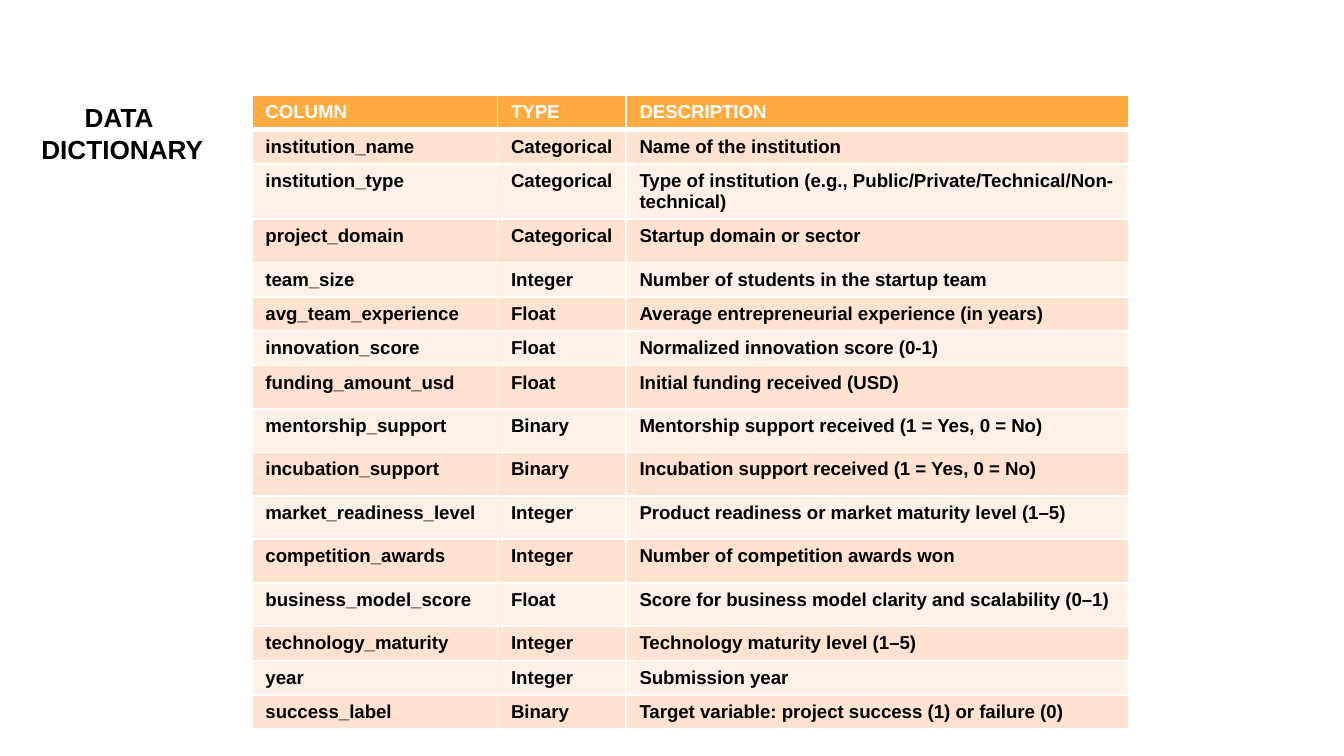
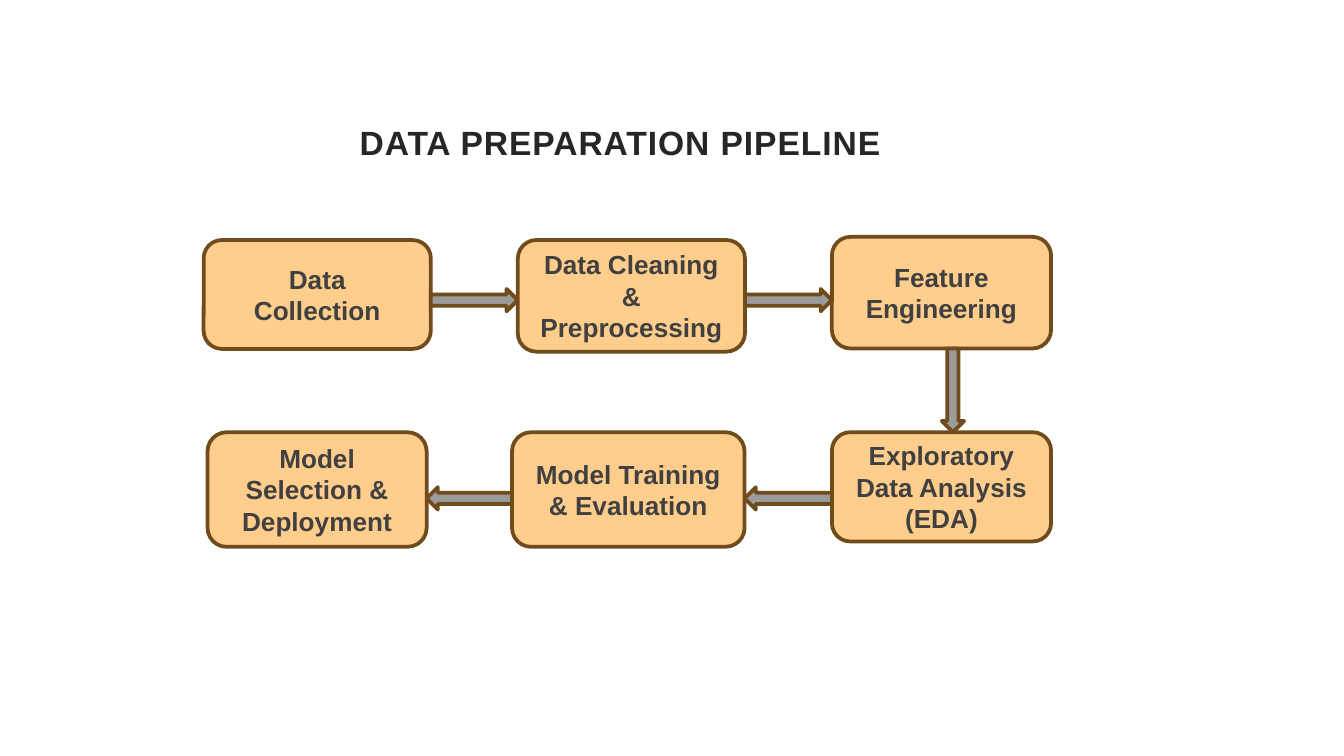
from lxml import etree
from pptx import Presentation
from pptx.dml.color import RGBColor
from pptx.enum.shapes import MSO_SHAPE
from pptx.enum.text import MSO_ANCHOR, MSO_AUTO_SIZE, PP_ALIGN
from pptx.oxml.ns import qn
from pptx.util import Pt

LEFT, CENTER = PP_ALIGN.LEFT, PP_ALIGN.CENTER
TOP, MIDDLE = MSO_ANCHOR.TOP, MSO_ANCHOR.MIDDLE
ROUNDED = MSO_SHAPE.ROUNDED_RECTANGLE
RIGHT_ARROW, LEFT_ARROW = MSO_SHAPE.RIGHT_ARROW, MSO_SHAPE.LEFT_ARROW
DOWN_ARROW = MSO_SHAPE.DOWN_ARROW

FONT = "Arial"
WHITE, BLACK = "FFFFFF", "000000"
HEADER_FILL = "FFAB40"
BAND_FILLS = ("FFE2CF", "FFF1E8")
STEP_FILL, ARROW_FILL, OUTLINE = "FFCD8C", "9B9B9B", "704B1C"
STEP_TEXT, PIPELINE_TITLE = "404040", "262626"

TITLE_ONLY_LAYOUT = 5
SHORT_ROW, TALL_ROW = 18.4, 23.3
COLUMN_WIDTHS = (131.6, 68.8, 269.6)
ARROW_THICKNESS = 12

HEADINGS = ("COLUMN", "TYPE", "DESCRIPTION")
FIELDS = [
    ("institution_name", "Categorical", "Name of the institution", SHORT_ROW),
    ("institution_type", "Categorical",
     "Type of institution (e.g., Public/Private/Technical/Non-technical)", SHORT_ROW),
    ("project_domain", "Categorical", "Startup domain or sector", TALL_ROW),
    ("team_size", "Integer", "Number of students in the startup team", SHORT_ROW),
    ("avg_team_experience", "Float",
     "Average entrepreneurial experience (in years)", SHORT_ROW),
    ("innovation_score", "Float", "Normalized innovation score (0-1)", SHORT_ROW),
    ("funding_amount_usd", "Float", "Initial funding received (USD)", TALL_ROW),
    ("mentorship_support", "Binary",
     "Mentorship support received (1 = Yes, 0 = No)", TALL_ROW),
    ("incubation_support", "Binary",
     "Incubation support received (1 = Yes, 0 = No)", TALL_ROW),
    ("market_readiness_level", "Integer",
     "Product readiness or market maturity level (1–5)", TALL_ROW),
    ("competition_awards", "Integer", "Number of competition awards won", TALL_ROW),
    ("business_model_score", "Float",
     "Score for business model clarity and scalability (0–1)", TALL_ROW),
    ("technology_maturity", "Integer", "Technology maturity level (1–5)", SHORT_ROW),
    ("year", "Integer", "Submission year", SHORT_ROW),
    ("success_label", "Binary",
     "Target variable: project success (1) or failure (0)", SHORT_ROW),
]

# Label, left, top, width, height
STEPS = [
    ("Data Collection", 109.1, 128.6, 121.7, 58.3),
    ("Data Cleaning & Preprocessing", 277.4, 128.6, 121.7, 59.8),
    ("Feature Engineering", 445.7, 126.9, 117.4, 59.8),
    ("Exploratory Data Analysis (EDA)", 445.7, 231.6, 117.4, 58.5),
    ("Model Training & Evaluation", 274.3, 231.6, 124.6, 61.4),
    ("Model Selection & Deployment", 111.2, 231.6, 117.4, 61.4),
]
TOP_LANE, BOTTOM_LANE, DOWN_LANE = 160.8, 267, 510.5


def color(hex_value):
    return RGBColor.from_string(hex_value)


def write(frame, text, size, ink, align=LEFT, anchor=None, spacing=None):
    """Fill a text frame; each line of text becomes a bold paragraph."""
    if anchor is not None:
        frame.vertical_anchor = anchor
    for index, line in enumerate(text.split("\n")):
        paragraph = frame.paragraphs[0] if index == 0 else frame.add_paragraph()
        paragraph.alignment = align
        run = paragraph.add_run()
        run.text = line
        run.font.name, run.font.size, run.font.bold = FONT, Pt(size), True
        run.font.color.rgb = color(ink)
        if spacing:
            run.font._element.set("spc", str(round(spacing * 100)))


def add_title(slide, text, bounds, inset, **text_format):
    title = slide.shapes.title
    title.left, title.top, title.width, title.height = map(Pt, bounds)
    frame = title.text_frame
    frame.auto_size, frame.word_wrap = MSO_AUTO_SIZE.NONE, True
    frame.margin_top = frame.margin_bottom = Pt(inset)
    write(frame, text, align=CENTER, anchor=TOP, **text_format)


def border_cell(cell, bottom_width):
    properties = cell._tc.get_or_add_tcPr()
    sides = (("lnL", 1), ("lnR", 1), ("lnT", 1), ("lnB", bottom_width))
    for position, (side, width) in enumerate(sides):
        line = etree.Element(qn(f"a:{side}"), w=str(Pt(width)))
        fill = etree.SubElement(line, qn("a:solidFill"))
        etree.SubElement(fill, qn("a:srgbClr"), val=WHITE)
        properties.insert(position, line)


def fill_row(table, row, texts, fill, ink, bottom_width=1):
    for column, text in enumerate(texts):
        cell = table.cell(row, column)
        cell.fill.solid()
        cell.fill.fore_color.rgb = color(fill)
        border_cell(cell, bottom_width)
        write(cell.text_frame, text, size=10, ink=ink)


def add_dictionary_table(slide, left, top):
    heights = [SHORT_ROW] + [field[-1] for field in FIELDS]
    table = slide.shapes.add_table(
        len(heights), len(HEADINGS), Pt(left), Pt(top),
        Pt(sum(COLUMN_WIDTHS)), Pt(sum(heights))).table
    for column, width in zip(table.columns, COLUMN_WIDTHS):
        column.width = Pt(width)
    for row, height in zip(table.rows, heights):
        row.height = Pt(height)
    fill_row(table, 0, HEADINGS, HEADER_FILL, WHITE, bottom_width=3)
    for index, (*texts, _) in enumerate(FIELDS):
        fill_row(table, index + 1, texts, BAND_FILLS[index % 2], BLACK)


def add_outlined(slide, preset, bounds, fill):
    shape = slide.shapes.add_shape(preset, *map(Pt, bounds))
    shape.shadow.inherit = False
    shape.fill.solid()
    shape.fill.fore_color.rgb = color(fill)
    shape.line.color.rgb = color(OUTLINE)
    shape.line.width = Pt(2)
    return shape


def add_step(slide, label, *bounds):
    step = add_outlined(slide, ROUNDED, bounds, STEP_FILL)
    step.text_frame.word_wrap = True
    write(step.text_frame, label, size=14, ink=STEP_TEXT, align=CENTER, anchor=MIDDLE)


def add_step_arrow(slide, source, target, lane):
    """Bridge the gap between two steps, centred on the lane."""
    _, left, top, width, height = source
    _, next_left, next_top, next_width, _ = target
    edge = lane - ARROW_THICKNESS / 2
    if next_left > left:
        start = left + width
        preset, bounds = RIGHT_ARROW, (start, edge, next_left - start, ARROW_THICKNESS)
    elif next_left < left:
        start = next_left + next_width
        preset, bounds = LEFT_ARROW, (start, edge, left - start, ARROW_THICKNESS)
    else:
        start = top + height
        preset, bounds = DOWN_ARROW, (edge, start, ARROW_THICKNESS, next_top - start)
    add_outlined(slide, preset, bounds, ARROW_FILL)


def build_dictionary(slide):
    add_title(slide, "DATA \nDICTIONARY", (-4.3, 50.8, 139.7, 41), inset=3.6,
              size=14, ink=BLACK)
    add_dictionary_table(slide, 135, 51)


def build_pipeline(slide):
    add_title(slide, "DATA PREPARATION PIPELINE", (24.5, 58.3, 615.6, 38.2), inset=7.2,
              size=18, ink=PIPELINE_TITLE, spacing=0.5)
    for step in STEPS:
        add_step(slide, *step)
    lanes = (TOP_LANE, TOP_LANE, DOWN_LANE, BOTTOM_LANE, BOTTOM_LANE)
    for source, target, lane in zip(STEPS, STEPS[1:], lanes):
        add_step_arrow(slide, source, target, lane)


def main():
    deck = Presentation()
    deck.slide_width, deck.slide_height = Pt(720), Pt(405)
    layout = deck.slide_layouts[TITLE_ONLY_LAYOUT]
    for build in (build_dictionary, build_pipeline):
        build(deck.slides.add_slide(layout))
    deck.save("out.pptx")


if __name__ == "__main__":
    main()
